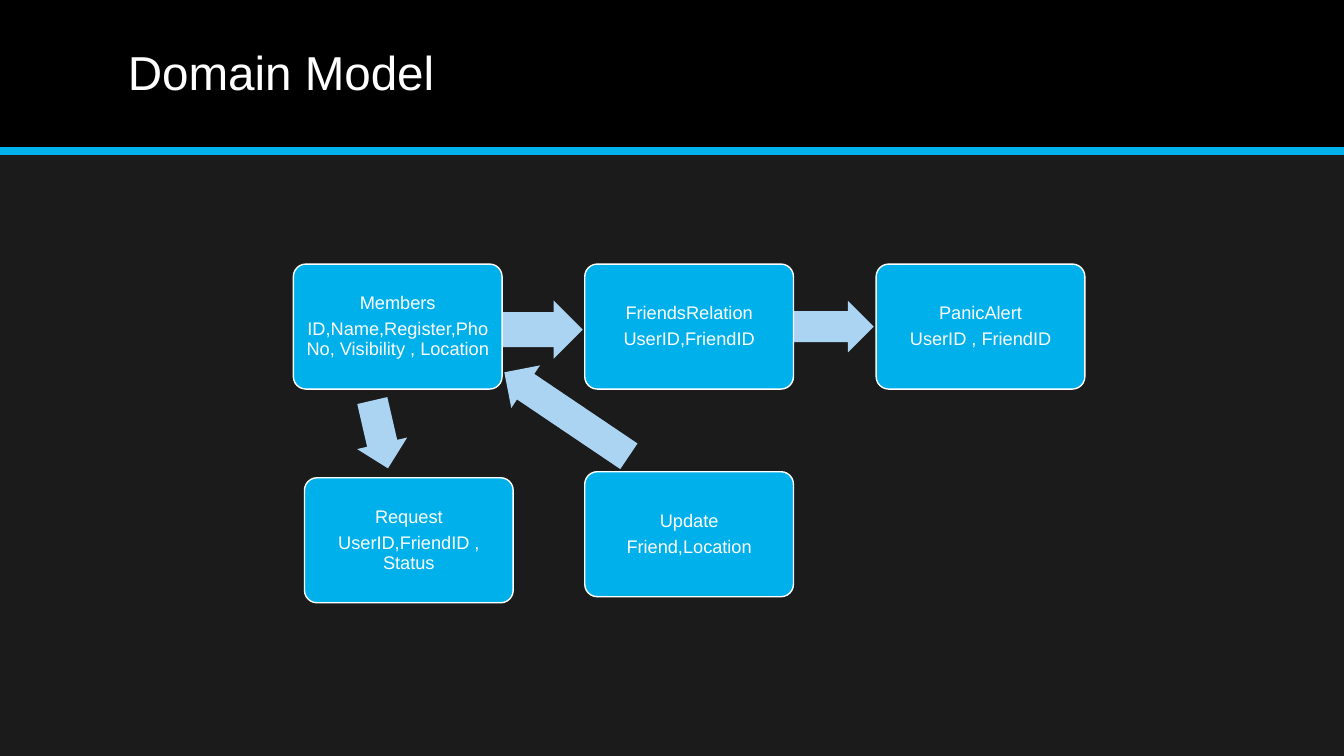
from pptx import Presentation
from pptx.dml.color import RGBColor
from pptx.enum.shapes import MSO_CONNECTOR, MSO_SHAPE
from pptx.enum.text import MSO_ANCHOR, PP_ALIGN
from pptx.oxml.ns import qn
from pptx.util import Inches, Pt
from lxml import etree

RECT, ROUND, ARROW = MSO_SHAPE.RECTANGLE, MSO_SHAPE.ROUNDED_RECTANGLE, MSO_SHAPE.RIGHT_ARROW
LINE = MSO_CONNECTOR.STRAIGHT
LEFT, CENTER = PP_ALIGN.LEFT, PP_ALIGN.CENTER
MIDDLE = MSO_ANCHOR.MIDDLE

WIDE, HIGH = 13.33, 7.5
COLORS = {"back": "1B1B1B", "band": "000000", "blue": "00B0EA",
          "pale": "ABD4F3", "white": "FFFFFF"}

# Model grid, in inches from the corner of the model's box
STEP, DROP = 2.89, 2.06
CARD_W, CARD_H = 2.07, 1.24

# Column, row, shift (x, y) off the grid, lines of text
CARDS = [
    (0, 0, (0, 0), ("Members", "ID,Name,Register,Pho No, Visibility , Location")),
    (1, 0, (0, 0), ("FriendsRelation", "UserID,FriendID")),
    (2, 0, (0, 0), ("PanicAlert", "UserID , FriendID")),
    (0, 1, (0.11, 0.06), ("Request", "UserID,FriendID , Status")),
    (1, 1, (0, 0), ("Update", "Friend,Location")),
]
# Center x and y in the model's box, length, thickness, turn
ARROWS = [
    (2.46, 0.65, 0.82, 0.58, 0),
    (5.36, 0.62, 0.79, 0.51, 0),
    (0.86, 1.69, 0.69, 0.51, 77),
    (2.71, 1.49, 1.49, 0.51, 214),
]


def color(name):
    return RGBColor.from_string(COLORS[name])


def put(obj, values):
    for name, value in values.items():
        setattr(obj, name, value)


def shape(slide, kind, box, fill, edge=None):
    item = slide.shapes.add_shape(kind, *map(Inches, box))
    item.shadow.inherit = False
    item.fill.solid()
    item.fill.fore_color.rgb = color(fill)
    if edge:
        item.line.color.rgb = color(edge)
        item.line.width = Pt(1)
    else:
        item.line.fill.background()
    return item


def write(item, lines, size, align, pad, after=0):
    frame = item.text_frame
    put(frame, {"word_wrap": True, "vertical_anchor": MIDDLE,
                "margin_left": Inches(pad), "margin_right": Inches(pad),
                "margin_top": Inches(0.05), "margin_bottom": Inches(0.05)})
    for i, line in enumerate(lines):
        para = frame.add_paragraph() if i else frame.paragraphs[0]
        put(para, {"alignment": align, "line_spacing": 0.9, "space_after": Pt(after)})
        run = para.add_run()
        run.text = line
        put(run.font, {"name": "Arial", "size": Pt(size)})
        run.font.color.rgb = color("white")


def header(slide, box):
    x, y, w, h = box
    shape(slide, RECT, box, "band")
    # Rule under the band
    rule = slide.shapes.add_connector(LINE, *map(Inches, (x, y + h, x + w, y + h)))
    rule.line.color.rgb = color("blue")
    rule.line.width = Pt(6)
    etree.SubElement(rule._element.spPr, qn("a:effectLst"))
    # Title
    title = slide.shapes.add_textbox(*map(Inches, (x + 1.17, y + 0.14, 11, 1.2)))
    write(title, ["Domain Model"], 34, LEFT, 0.1)


def model(slide, box):
    x, y = box[:2]
    # Arrows between the cards
    for mid, level, w, h, turn in ARROWS:
        arrow = shape(slide, ARROW, (x + mid - w / 2, y + level - h / 2, w, h), "pale")
        arrow.adjustments[0] = 0.6
        arrow.rotation = turn
    # Cards
    for col, row, (dx, dy), lines in CARDS:
        place = (x + col * STEP + dx, y + row * DROP + dy, CARD_W, CARD_H)
        card = shape(slide, ROUND, place, "blue", "white")
        card.adjustments[0] = 0.1
        write(card, lines, 13, CENTER, 0.05, 4.5)


def main():
    deck = Presentation()
    put(deck, {"slide_width": Inches(WIDE), "slide_height": Inches(HIGH)})
    slide = deck.slides.add_slide(deck.slide_layouts[6])
    slide.background.fill.solid()
    slide.background.fill.fore_color.rgb = color("back")
    header(slide, (0, 0, WIDE, HIGH / 5))
    model(slide, (2.91, 2.62, 2 * STEP + CARD_W, DROP + CARD_H))
    deck.save("out.pptx")


if __name__ == "__main__":
    main()
